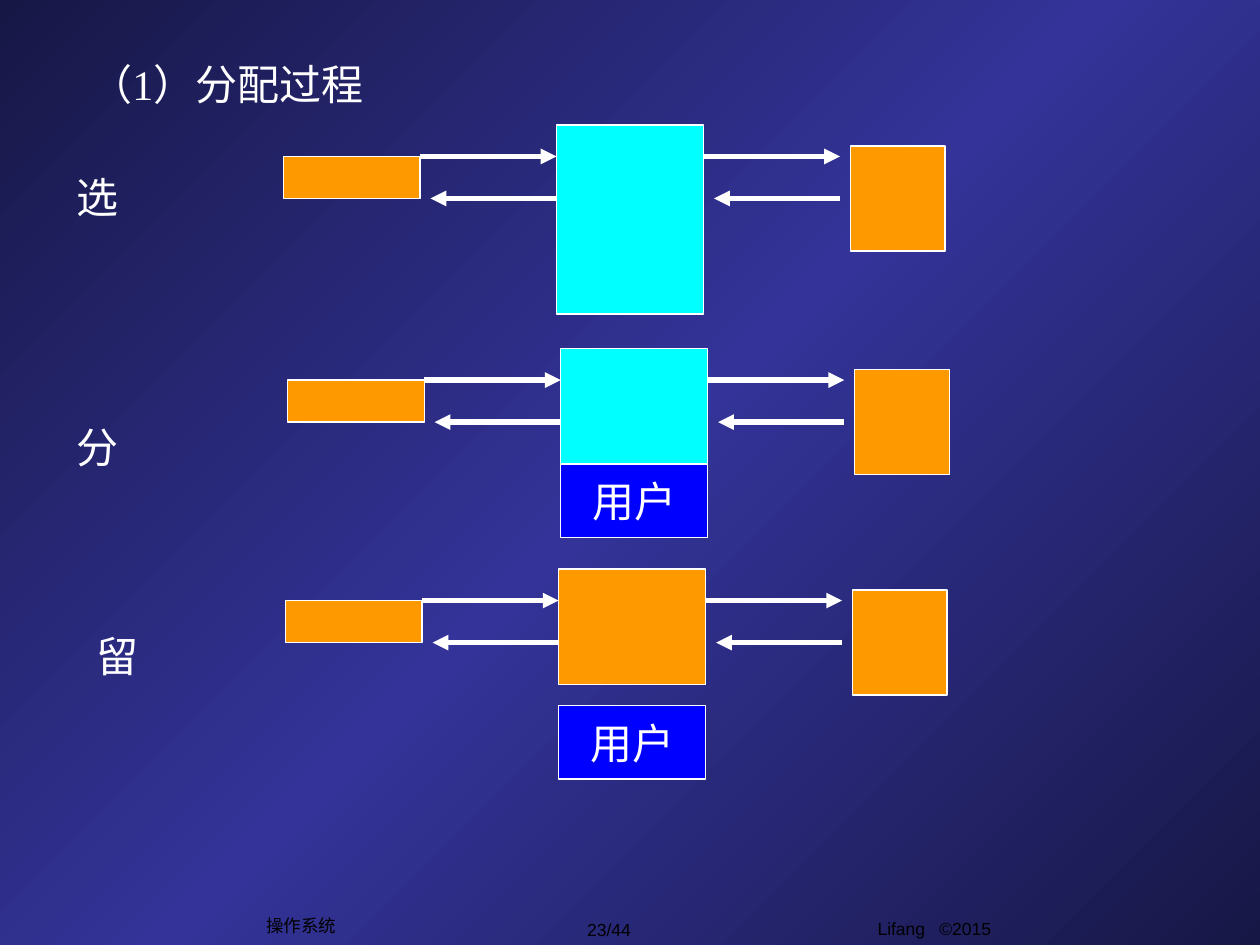
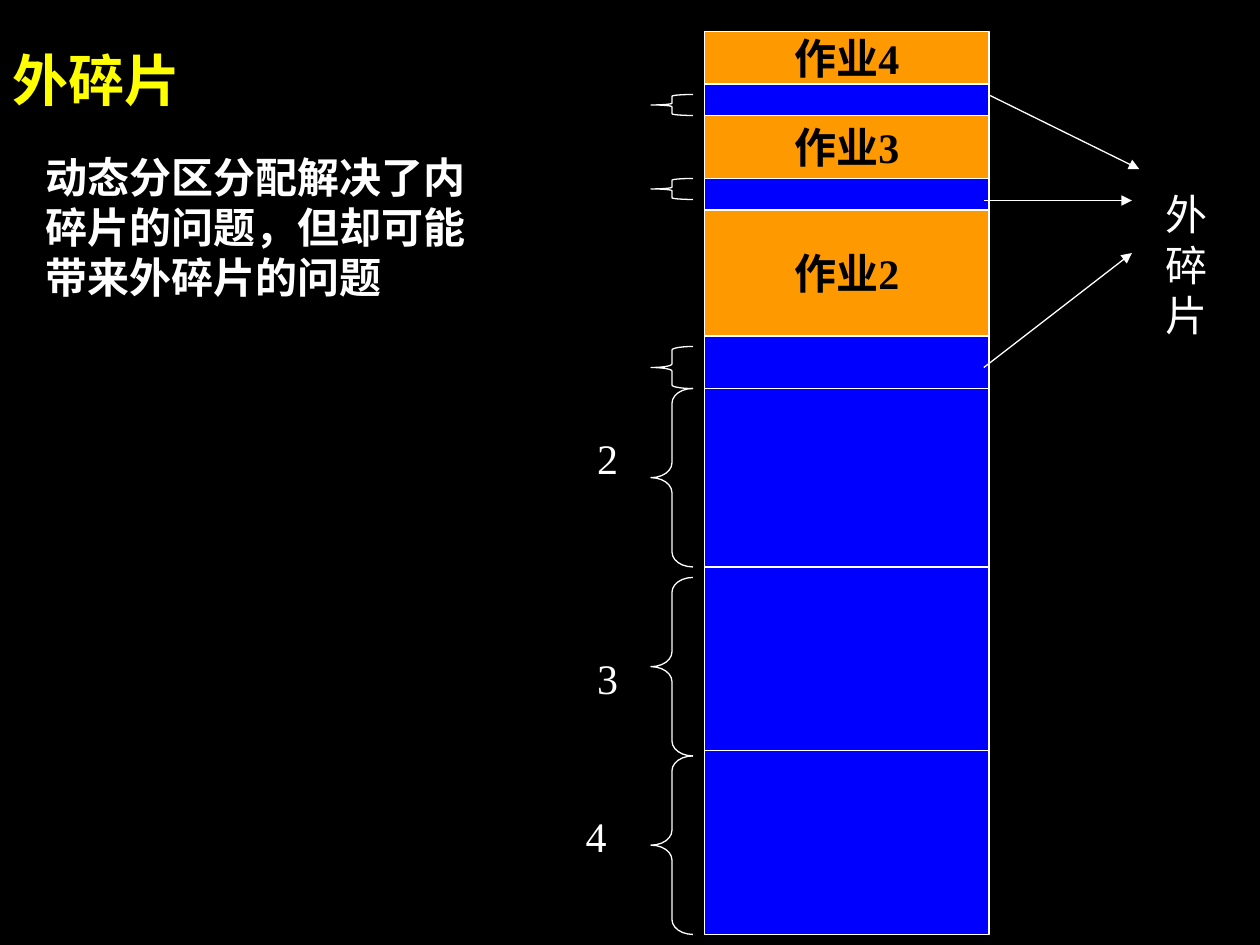
from copy import deepcopy
from dataclasses import dataclass

from lxml import etree
from pptx import Presentation
from pptx.dml.color import RGBColor
from pptx.enum.shapes import MSO_CONNECTOR, MSO_SHAPE as SHP
from pptx.enum.text import MSO_ANCHOR as ANC, MSO_AUTO_SIZE, PP_ALIGN as AL
from pptx.oxml.ns import qn
from pptx.util import Inches, Pt

COLS, ROWS = 120, 90      # grid on the 10 x 7.5 inch slide
TITLE_ONLY = 5


@dataclass(frozen=True)
class Theme:
    white: str = "FFFFFF"
    black: str = "000000"
    orange: str = "FF9900"
    cyan: str = "00FFFF"
    blue: str = "0000FF"
    yellow: str = "FFFF00"
    navy: str = "171746"
    indigo: str = "333399"
    serif: str = "Times New Roman"
    sans: str = "Arial"
    head: int = 32
    body: int = 24
    foot: int = 10
    thin: float = 0.75
    thick: float = 3


T = Theme()


def rgb(value):
    return RGBColor.from_string(value)


def write(tf, text, *, size=T.body, font=T.serif, color=T.white, bold=False,
          align=AL.LEFT, anchor=ANC.TOP, wrap=True, tab=None):
    """Put one formatted paragraph into a text frame."""
    tf.auto_size = MSO_AUTO_SIZE.NONE
    tf.word_wrap = wrap
    tf.vertical_anchor = anchor
    p = tf.paragraphs[0]
    p.alignment = align
    if tab:
        tabs = etree.SubElement(p._p.get_or_add_pPr(), qn("a:tabLst"))
        etree.SubElement(tabs, qn("a:tab"), pos=str(Inches(tab)), algn="l")
    r = p.add_run()
    r.text = text
    r.font.size, r.font.name, r.font.bold = Pt(size), font, bold
    r.font.color.rgb = rgb(color)


class Deck:
    """Holds the presentation, its grid and the current slide."""

    def __init__(self):
        self.prs = Presentation()
        self.prs.slide_width, self.prs.slide_height = Inches(10), Inches(7.5)
        self.s = None

    def x(self, col):
        return round(self.prs.slide_width * col / COLS)

    def y(self, row):
        return round(self.prs.slide_height * row / ROWS)

    def frame(self, col, row, w, h):
        return self.x(col), self.y(row), self.x(w), self.y(h)

    def slide(self, *colors):
        """Start a slide on a plain background or a diagonal gradient."""
        self.s = self.prs.slides.add_slide(self.prs.slide_layouts[TITLE_ONLY])
        fill = self.s.background.fill
        if len(colors) == 1:
            fill.solid()
            fill.fore_color.rgb = rgb(colors[0])
            return
        fill.gradient()
        fill.gradient_angle = 315
        gs_list = fill._fill._gradFill.gsLst
        while len(gs_list) < len(colors):
            gs_list.append(deepcopy(gs_list[0]))
        for i, (stop, color) in enumerate(zip(fill.gradient_stops, colors)):
            stop.position = i / (len(colors) - 1)
            stop.color.rgb = rgb(color)

    def title(self, text, *frame, **fmt):
        sp = self.s.shapes.title
        sp.left, sp.top, sp.width, sp.height = self.frame(*frame)
        write(sp.text_frame, text, anchor=ANC.MIDDLE, **fmt)

    def text(self, text, *frame, **fmt):
        sp = self.s.shapes.add_textbox(*self.frame(*frame))
        write(sp.text_frame, text, **fmt)

    def box(self, fill, *frame, kind=SHP.FLOWCHART_PROCESS, text=None, **fmt):
        sp = self.s.shapes.add_shape(kind, *self.frame(*frame))
        sp.shadow.inherit = False
        sp.fill.solid()
        sp.fill.fore_color.rgb = rgb(fill)
        self.stroke(sp.line)
        if text:
            write(sp.text_frame, text, align=AL.CENTER, anchor=ANC.MIDDLE,
                  wrap=False, **fmt)

    def brace(self, *frame):
        sp = self.s.shapes.add_shape(SHP.LEFT_BRACE, *self.frame(*frame))
        sp.shadow.inherit = False
        sp.fill.background()
        self.stroke(sp.line)
        # Curl radius is one twelfth of the height
        sp.adjustments[0] = sp.height / 12 / min(sp.width, sp.height)

    def arrow(self, x1, y1, x2, y2, width=T.thin):
        c = self.s.shapes.add_connector(MSO_CONNECTOR.STRAIGHT, self.x(x1),
                                        self.y(y1), self.x(x2), self.y(y2))
        self.stroke(c.line, width)
        etree.SubElement(c.line._get_or_add_ln(), qn("a:tailEnd"), type="triangle")
        etree.SubElement(c._element.spPr, qn("a:effectLst"))

    def stroke(self, line, width=T.thin):
        line.color.rgb = rgb(T.white)
        line.width = Pt(width)

    def footer(self, page):
        fmt = dict(size=T.foot, font=T.sans, color=T.black)
        mid = dict(fmt, align=AL.CENTER, anchor=ANC.MIDDLE, wrap=False)
        self.text("Lifang\t©2015", 82.4, 86.8, 20, 4.2, tab=0.49, **fmt)
        self.text(page, 51.9, 86.9, 12.2, 3.2, **mid)
        self.text("操作系统", 24.2, 86.5, 9, 3.2, **mid)

    def exchange(self, col, row, memory_color, memory_h):
        """Draw a request box, memory and a table linked by arrow pairs."""
        self.box(T.orange, col, row + 3, 13, 4)
        self.box(T.orange, col + 54, row + 2, 9, 10, kind=SHP.RECTANGLE)
        for start in (col + 13, col + 40):
            self.arrow(start, row + 3, start + 13, row + 3, T.thick)
            self.arrow(start + 13, row + 7, start + 1, row + 7, T.thick)
        self.box(memory_color, col + 26, row, 14, memory_h)


def allocation_slide(d):
    d.slide(T.navy, T.indigo, T.navy)
    d.footer("23/44")
    d.title("（1）分配过程", 6.1, 6, 31, 4, align=AL.CENTER)

    # Steps: label, its place, diagram origin, memory block, user block offset
    steps = [
        ("选", 6.1, 15.7, 27, 11.9, T.cyan, 18, None),
        ("分", 6.1, 39.6, 27.4, 33.2, T.cyan, 18, 11),
        ("留", 8, 59.5, 27.2, 54.2, T.orange, 11, 13),
    ]
    for label, lx, ly, col, row, color, height, user in steps:
        d.text(label, lx, ly, 7.8, 6)
        d.exchange(col, row, color, height)
        if user:
            d.box(T.blue, col + 26, row + user, 14, 7, text="用户")


def fragment_slide(d):
    d.slide(T.black)
    d.title("外碎片", 0, 0, 100.2, 15, size=T.head, color=T.yellow, bold=True,
            align=AL.LEFT)
    d.text("动态分区分配解决了内碎片的问题，但却可能带来外碎片的问题",
           3.2, 13.8, 45.4, 15.6, bold=True)

    # Memory column: blocks stacked from the top, free ones without a job
    blocks = [(5, "作业4"), (3, None), (6, "作业3"), (3, None), (12, "作业2"),
              (5, None), (17, None), (17.5, None), (17.5, None)]
    row = 3
    for height, job in blocks:
        d.box(T.orange if job else T.blue, 67.1, row, 27.1, height,
              kind=SHP.RECTANGLE, text=job, color=T.black, bold=True)
        row += height

    # Braces and partition numbers
    for row, height in [(9, 2), (17, 2), (33, 4), (37, 17), (55, 17), (72, 17)]:
        d.brace(62, row, 4, height)
    for number, col, row in [("2", 55.7, 40.6), ("3", 55.7, 61.6), ("4", 54.6, 76.6)]:
        d.text(number, col, row, 4.3, 6, wrap=False)

    # Arrows from the free gaps to their name
    for ends in [(94.3, 9.1, 108.5, 16.1), (93.7, 19.1, 107.8, 19.1),
                 (93.7, 35, 107.8, 24.1)]:
        d.arrow(*ends)
    d.text("外碎片", 109.8, 17.4, 10.2, 15.6)


def main():
    d = Deck()
    allocation_slide(d)
    fragment_slide(d)
    d.prs.save("out.pptx")


if __name__ == "__main__":
    main()
